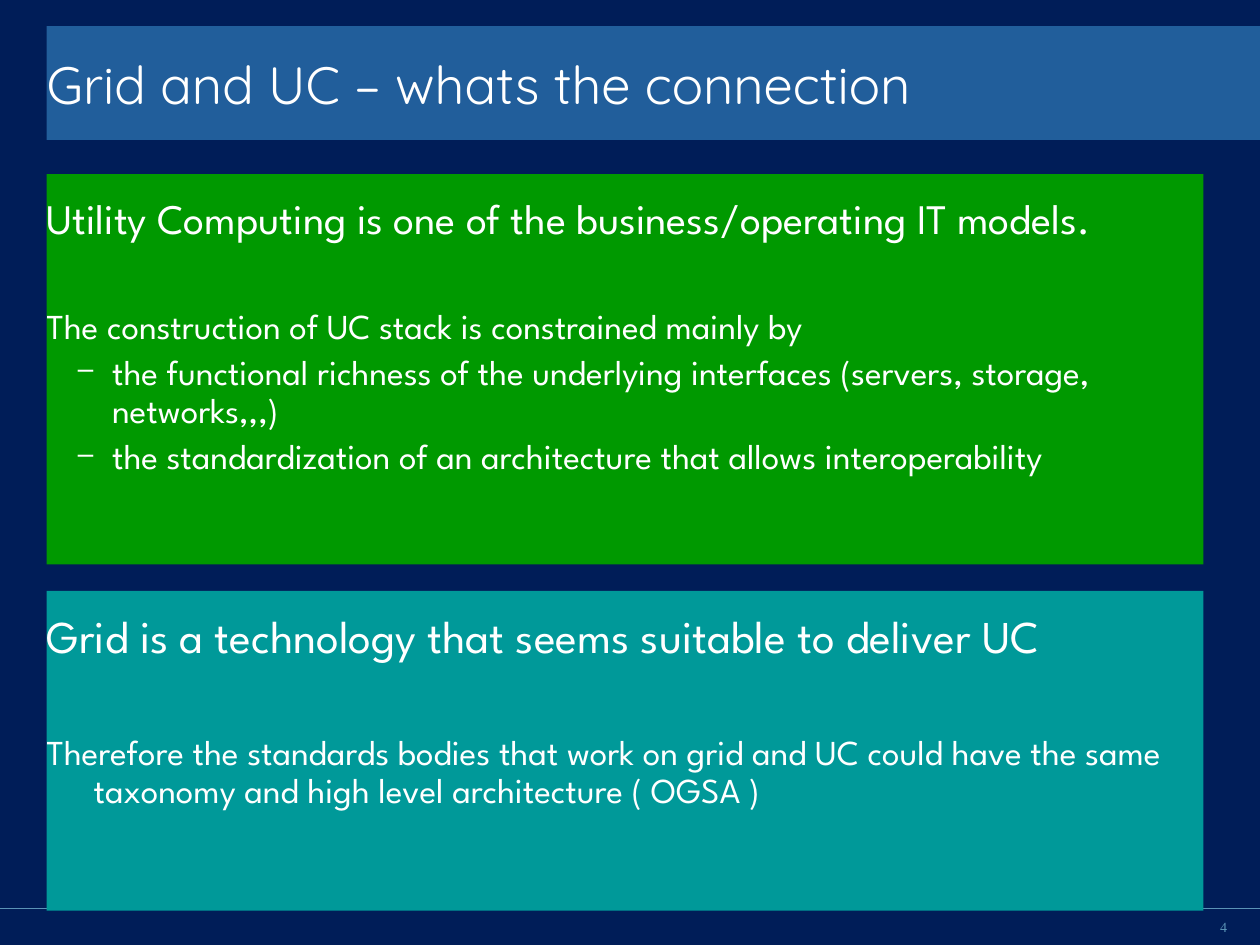
"""Build the slide on how grid and utility computing connect."""
from lxml.etree import SubElement
from pptx import Presentation
from pptx.dml.color import RGBColor as Rgb
from pptx.enum.shapes import MSO_CONNECTOR as Link, MSO_SHAPE as Kind
from pptx.enum.text import MSO_ANCHOR as Anchor, PP_ALIGN as Align
from pptx.oxml.ns import qn
from pptx.util import Cm, Pt

HUES = {"back": "001D58", "title": "215E9B", "green": "009900",
        "teal": "009999", "text": "FFFFFF", "faint": "5A93B6"}
WIDE, HIGH = 25.4, 19.05
LEFT, BODY = 0.94, 23.32
RULE = 18.31
TITLE = "Grid and UC – whats the connection"
HANG = {"left": 0.64, "hang": 0.64}
DASH = {"size": 20, "before": 2.5, "after": 2.5, "left": 1.32, "hang": 0.69, "mark": "–"}
DEEP = {"left": 0.95, "hang": 0.95}
PANELS = [
    ("green", 3.51, 7.87, [
        ("Utility Computing is one of the business/operating IT models.",
         {"size": 24, "after": 3, **HANG}),
        ("The construction of UC stack is constrained mainly by",
         {"size": 20, "before": 34.5, "after": 2.5, **HANG}),
        ("the functional richness of the underlying interfaces "
         "(servers, storage, networks,,,)", DASH),
        ("the standardization of an architecture that allows interoperability", DASH),
    ]),
    ("teal", 11.91, 6.45, [
        ("Grid is a technology that seems suitable to deliver UC",
         {"size": 26, "after": 3.3, **DEEP}),
        ("Therefore the standards bodies that work on grid and UC could have "
         "the same taxonomy and high level architecture ( OGSA )",
         {"size": 20, "before": 37.5, "after": 2.5, **DEEP}),
    ]),
]


def tint(name):
    return Rgb.from_string(HUES[name])


def setup(frame, top=0, anchor=Anchor.TOP):
    frame.word_wrap = True
    frame.vertical_anchor = anchor
    frame.margin_left = frame.margin_right = frame.margin_bottom = 0
    frame.margin_top = Cm(top)
    return frame


def panel(slide, hue, left, top, wide, high):
    box = slide.shapes.add_shape(Kind.RECTANGLE, Cm(left), Cm(top), Cm(wide), Cm(high))
    box.shadow.inherit = False
    box.fill.solid()
    box.fill.fore_color.rgb = tint(hue)
    box.line.fill.background()
    return box.text_frame


def write(para, text, size, face="League Spartan", hue="text", align=Align.LEFT,
          before=0, after=0, space=0.9, left=0, hang=0, mark=None):
    props = para._p.get_or_add_pPr()
    props.set("marL", str(Cm(left)))
    props.set("indent", str(-Cm(hang)))
    if mark:
        color = SubElement(props, qn("a:buClr"))
        SubElement(color, qn("a:srgbClr"), val=HUES[hue])
        SubElement(props, qn("a:buSzPct"), val="80000")
        SubElement(props, qn("a:buChar"), char=mark)
    para.alignment = align
    para.line_spacing = space
    para.space_before, para.space_after = Pt(before), Pt(after)
    run = para.add_run()
    run.text = text
    run.font.size, run.font.name = Pt(size), face
    run.font.color.rgb = tint(hue)


def main():
    deck = Presentation()
    deck.slide_width, deck.slide_height = Cm(WIDE), Cm(HIGH)
    slide = deck.slides.add_slide(deck.slide_layouts[6])
    slide.background.fill.solid()
    slide.background.fill.fore_color.rgb = tint("back")

    rule = slide.shapes.add_connector(Link.STRAIGHT, 0, Cm(RULE), Cm(WIDE), Cm(RULE))
    rule.line.color.rgb = tint("faint")
    rule.line.width = Pt(0.75)
    SubElement(rule._element.spPr, qn("a:effectLst"))

    head = setup(panel(slide, "title", LEFT, 0.53, WIDE - LEFT, 2.29), anchor=Anchor.MIDDLE)
    write(head.paragraphs[0], TITLE, 30, face="Quicksand", space=1.0)

    for hue, top, high, lines in PANELS:
        frame = setup(panel(slide, hue, LEFT, top, BODY, high), top=0.48)
        for num, (text, form) in enumerate(lines):
            para = frame.add_paragraph() if num else frame.paragraphs[0]
            write(para, text, **form)

    page = slide.shapes.add_textbox(Cm(23.62), Cm(18.49), Cm(1.12), Cm(0.38))
    foot = setup(page.text_frame, anchor=Anchor.MIDDLE)
    write(foot.paragraphs[0], "4", 8, face="Times New Roman", hue="faint",
          align=Align.RIGHT, space=1.0)
    deck.save("out.pptx")


if __name__ == "__main__":
    main()
